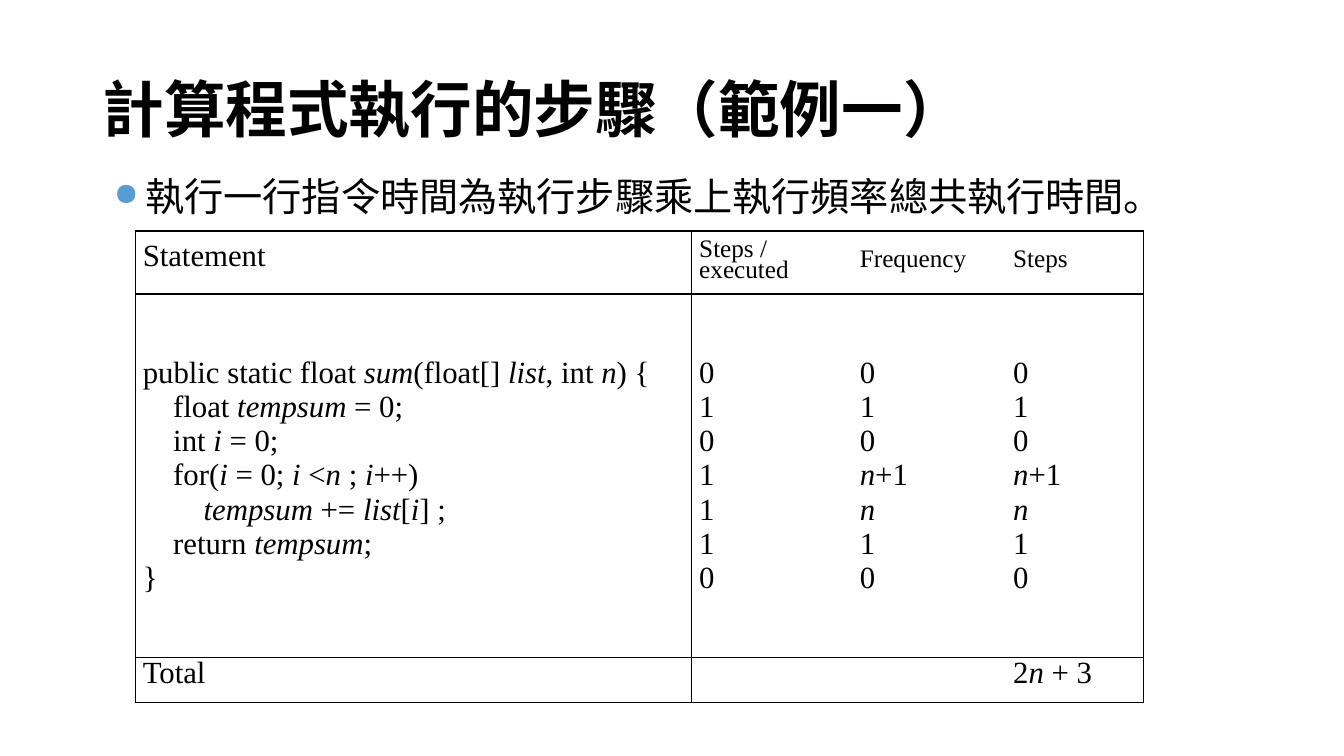
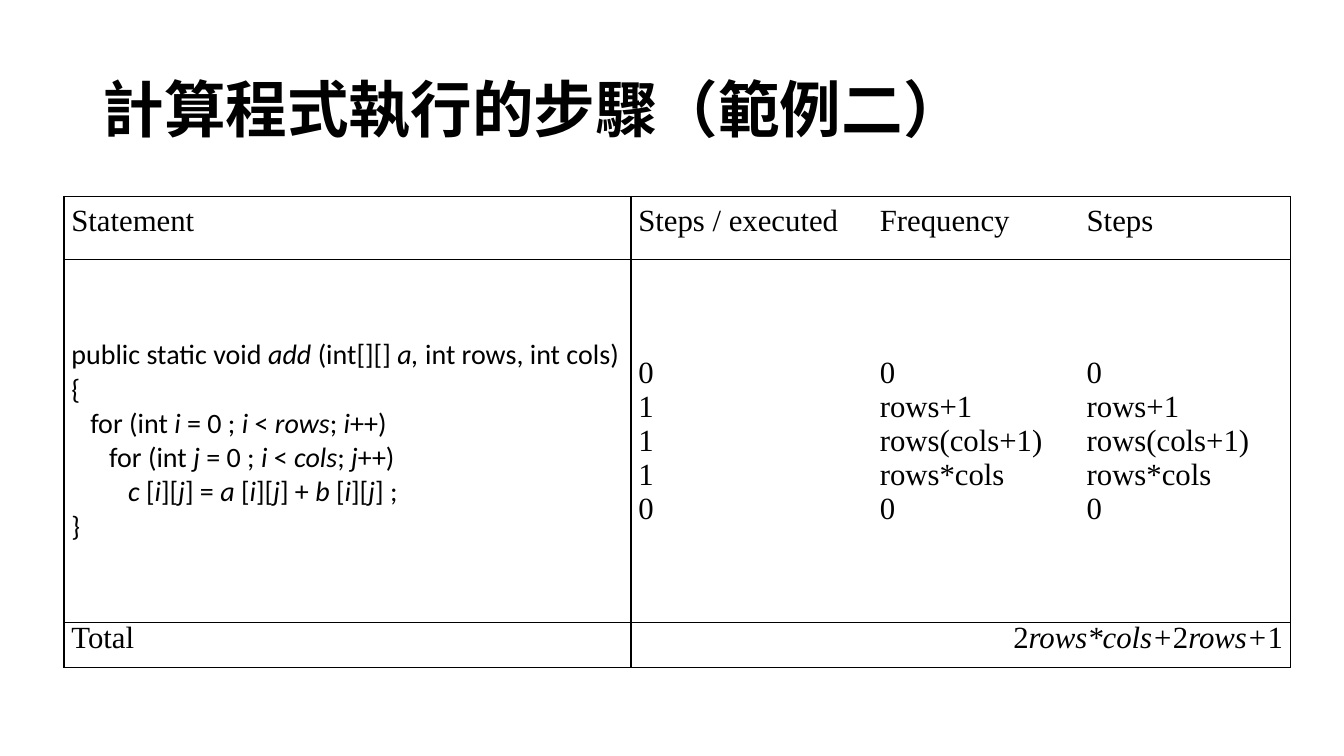
from lxml import etree
from pptx import Presentation
from pptx import util as u
from pptx.dml import color
from pptx.enum import text
from pptx.oxml import ns

PX = 9525
COLORS = {"ink": "000000", "bullet": "5B9BD5"}
HEADING_FONT = "Noto Sans CJK TC"
TABLE_FONT = "Times New Roman"
CODE_FONT = "Calibri"
ROW_HEIGHTS = (60, 346, 43)
TIGHT = u.Pt(15)


class Deck:
    """Hold the shared style and the current slide, and add elements to it."""

    def __init__(self):
        self.deck = Presentation()
        self.deck.slide_width, self.deck.slide_height = 1280 * PX, 720 * PX
        self.page = None

    def child(self, parent, tag, **attributes):
        return etree.SubElement(parent, ns.qn(tag), attributes)

    def style(self, span, size, font, bold=False, italic=False):
        span.font.size, span.font.name = u.Pt(size), font
        span.font.bold, span.font.italic = bold, italic
        span.font.color.rgb = color.RGBColor.from_string(COLORS["ink"])
        if font == HEADING_FONT:
            self.child(span.font._element, "a:ea", typeface=font)

    def title(self, wording):
        self.page = self.deck.slides.add_slide(self.deck.slide_layouts[5])
        box = self.page.shapes.title
        box.left, box.top, box.width, box.height = (n * PX for n in (88, 38, 1104, 139))
        frame = box.text_frame
        frame.text = wording
        frame.auto_size = text.MSO_AUTO_SIZE.NONE
        frame.vertical_anchor = text.MSO_ANCHOR.MIDDLE
        para = frame.paragraphs[0]
        para.alignment, para.line_spacing = text.PP_ALIGN.LEFT, 0.9
        self.style(para.runs[0], 44, HEADING_FONT, bold=True)

    def bullet(self, wording, left, top, width, height):
        box = self.page.shapes.add_textbox(left * PX, top * PX, width * PX, height * PX)
        frame = box.text_frame
        frame.word_wrap = True
        frame.text = wording
        para = frame.paragraphs[0]
        para.space_before, para.line_spacing = u.Pt(6), 0.9
        self.style(para.runs[0], 28, HEADING_FONT)
        props = para._p.get_or_add_pPr()
        props.set("marL", str(38 * PX))
        props.set("indent", str(-30 * PX))
        tint = self.child(props, "a:buClr")
        self.child(tint, "a:srgbClr", val=COLORS["bullet"])
        self.child(props, "a:buSzPct", val="80000")
        self.child(props, "a:buChar", char="●")

    def cell_text(self, cell, lines, size=22, font=TABLE_FONT, spacing=None, step=0, align=None):
        """Fill a cell; tabs indent by step and underscores enclose italics."""
        frame = cell.text_frame
        for number, line in enumerate(lines):
            para = frame.add_paragraph() if number else frame.paragraphs[0]
            para.line_spacing, para.alignment = spacing, align
            wording = line.lstrip("\t")
            indent = (len(line) - len(wording)) * step * PX
            if indent:
                para._p.get_or_add_pPr().set("marL", str(indent))
            for part, piece in enumerate(wording.split("_")):
                if piece:
                    span = para.add_run()
                    span.text = piece
                    self.style(span, size, font, italic=part % 2 == 1)

    def borders(self, cell, left, right):
        props = cell._tc.get_or_add_tcPr()
        sides = {"L": left, "R": right, "T": True, "B": True}
        for place, (side, shown) in enumerate(sides.items()):
            line = etree.Element(ns.qn(f"a:ln{side}"), w=str(u.Pt(1)))
            if shown:
                fill = self.child(line, "a:solidFill")
                self.child(fill, "a:srgbClr", val=COLORS["ink"])
            else:
                self.child(line, "a:noFill")
            props.insert(place, line)

    def table(self, left, top, widths, headers, columns, totals, merge_to,
              header_size=22, code_style=None, total_align=None):
        last = len(widths) - 1
        grid = self.page.shapes.add_table(3, len(widths), left * PX, top * PX,
                                          sum(widths) * PX, sum(ROW_HEIGHTS) * PX).table
        grid.first_row = grid.horz_banding = False
        for column, width in zip(grid.columns, widths):
            column.width = width * PX
        for row, height in zip(grid.rows, ROW_HEIGHTS):
            row.height = height * PX
        grid.cell(2, 1).merge(grid.cell(2, merge_to))
        for r in range(3):
            for c in range(last + 1):
                cell = grid.cell(r, c)
                cell.fill.background()
                cell.vertical_anchor = text.MSO_ANCHOR.MIDDLE
                cell.margin_left = cell.margin_right = 7 * PX
                cell.margin_top = cell.margin_bottom = 0
                end = c + cell.span_width - 1 if cell.is_merge_origin else c
                self.borders(cell, c < 2, end in (0, last))
        for c, (header, lines) in enumerate(zip(headers, columns)):
            self.cell_text(grid.cell(0, c), [header], header_size if c else 22, spacing=TIGHT)
            self.cell_text(grid.cell(1, c), lines, **({} if c else code_style))
        for c, total in totals.items():
            self.cell_text(grid.cell(2, c), [total], spacing=TIGHT,
                           align=total_align if c else None)


def main():
    deck = Deck()
    headers = ["Statement", "Steps / executed", "Frequency", "Steps"]

    deck.title("計算程式執行的步驟（範例一）")
    sum_code = [
        "public static float _sum_(float[] _list_, int _n_) {",
        "\tfloat _tempsum_ = 0;",
        "\tint _i _= 0;",
        "\tfor(_i _= 0; _i_ <_n_ ; _i_++)",
        "\t\t_tempsum_ += _list_[_i_] ;",
        "\treturn _tempsum_;",
        "}",
    ]
    sum_counts = ["0", "1", "0", "_n_+1", "_n_", "1", "0"]
    deck.table(129, 220, (530, 153, 146, 131), headers,
               [sum_code, list("0101110"), sum_counts, sum_counts],
               {0: "Total", 3: "2_n_ + 3"}, merge_to=2, header_size=18,
               code_style={"step": 29})
    deck.bullet("執行一行指令時間為執行步驟乘上執行頻率總共執行時間。", 91, 164, 1076, 112)

    deck.title("計算程式執行的步驟（範例二）")
    add_code = [
        "public static void _add _(int[][] _a, _int rows, int cols) {",
        "\tfor (int _i_ = 0 ; _i_ < _rows_; _i_++)",
        "\t\tfor (int _j_ = 0 ; _i_ < _cols_; _j_++)",
        "\t\t\t_c _[_i_][_j_] = _a_ [_i_][_j_] + _b_ [_i_][_j_] ;",
        "}",
    ]
    add_counts = ["0", "rows+1", "rows(cols+1)", "rows*cols", "0"]
    deck.table(61, 187, (540, 230, 197, 201), headers,
               [add_code, list("01110"), add_counts, add_counts],
               {0: "Total", 1: "2_rows*cols+_2_rows+_1"}, merge_to=3,
               code_style={"size": 20, "font": CODE_FONT, "step": 18},
               total_align=text.PP_ALIGN.RIGHT)
    deck.deck.save("out.pptx")


if __name__ == "__main__":
    main()
